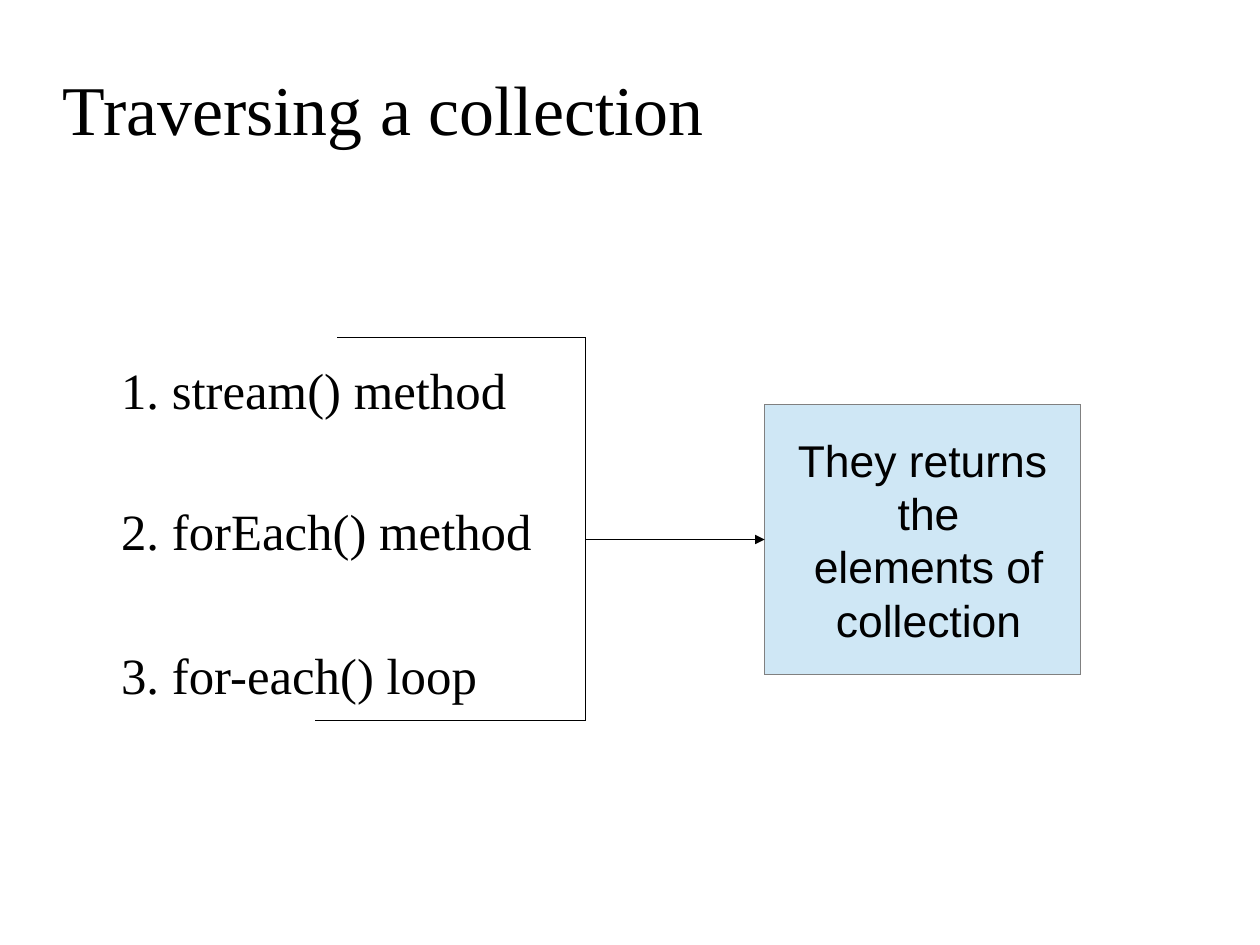
from dataclasses import dataclass

from lxml import etree
from pptx import Presentation
from pptx import util as u
from pptx.dml.color import RGBColor
from pptx.enum import shapes, text
from pptx.oxml import ns


@dataclass(frozen=True)
class Theme:
    ink: RGBColor = RGBColor(0x00, 0x00, 0x00)
    box_fill: RGBColor = RGBColor(0xCF, 0xE7, 0xF5)
    box_line: RGBColor = RGBColor(0x80, 0x80, 0x80)
    serif: str = "Times New Roman"
    sans: str = "Arial"
    title_size: int = 44
    list_size: int = 32
    box_size: int = 28


THEME = Theme()


def place(shape, left, top, width, height):
    shape.left, shape.top = u.Inches(left), u.Inches(top)
    shape.width, shape.height = u.Inches(width), u.Inches(height)


def write_lines(frame, lines, font_name, size, alignment):
    for index, line in enumerate(lines):
        paragraph = frame.paragraphs[0] if index == 0 else frame.add_paragraph()
        paragraph.text = line
        paragraph.alignment = alignment
        paragraph.space_before = u.Pt(0)
        paragraph.font.name = font_name
        paragraph.font.size = u.Pt(size)
        paragraph.font.color.rgb = THEME.ink


def clear_margins(frame):
    frame.margin_left = frame.margin_right = 0
    frame.margin_top = frame.margin_bottom = 0


def set_hairline(line, color):
    line.color.rgb = color
    outline = line._get_or_add_ln()
    outline.set("w", "0")
    return outline


def add_title(slide, title):
    shape = slide.shapes.title
    place(shape, 0.55, 0.32, 8.43, 1.25)
    frame = shape.text_frame
    clear_margins(frame)
    frame.vertical_anchor = text.MSO_ANCHOR.MIDDLE
    write_lines(frame, [title], THEME.serif, THEME.title_size, text.PP_ALIGN.LEFT)


def add_methods(slide, methods, gaps):
    shape = slide.shapes.add_textbox(0, 0, 0, 0)
    place(shape, 1.06, 3.14, 9.23, 4.79)
    frame = shape.text_frame
    frame.word_wrap = True
    clear_margins(frame)
    write_lines(frame, methods, THEME.serif, THEME.list_size, text.PP_ALIGN.LEFT)
    for paragraph, gap in zip(frame.paragraphs[1:], gaps):
        paragraph.space_before = u.Pt(gap)


def add_line(slide, start, end, arrow=False):
    points = [u.Inches(value) for value in (*start, *end)]
    connector = slide.shapes.add_connector(shapes.MSO_CONNECTOR.STRAIGHT, *points)
    outline = set_hairline(connector.line, THEME.ink)
    if arrow:
        etree.SubElement(outline, ns.qn("a:tailEnd"), type="triangle")
    etree.SubElement(connector._element.spPr, ns.qn("a:effectLst"))


def add_result_box(slide, lines):
    shape = slide.shapes.add_shape(shapes.MSO_SHAPE.RECTANGLE, 0, 0, 0, 0)
    place(shape, 6.69, 3.54, 2.76, 2.36)
    shape.shadow.inherit = False
    shape.fill.solid()
    shape.fill.fore_color.rgb = THEME.box_fill
    set_hairline(shape.line, THEME.box_line)
    frame = shape.text_frame
    frame.word_wrap = False
    frame.vertical_anchor = text.MSO_ANCHOR.MIDDLE
    write_lines(frame, lines, THEME.sans, THEME.box_size, text.PP_ALIGN.CENTER)


def main():
    presentation = Presentation()
    presentation.slide_width = u.Cm(28)
    presentation.slide_height = u.Cm(21)
    slide = presentation.slides.add_slide(presentation.slide_layouts[5])

    add_title(slide, "Traversing a collection")
    methods = ["1. stream() method", "2. forEach() method", "3. for-each() loop"]
    add_methods(slide, methods, gaps=[50.5, 52])

    bracket_x, bracket_top, bracket_bottom = 5.12, 2.95, 6.3
    add_line(slide, (bracket_x, bracket_top), (bracket_x, bracket_bottom))
    add_line(slide, (bracket_x, bracket_top), (2.95, bracket_top))
    add_line(slide, (bracket_x, bracket_bottom), (2.76, bracket_bottom))

    add_result_box(slide, ["They returns", " the", " elements of", " collection"])
    add_line(slide, (bracket_x, 4.72), (6.69, 4.72), arrow=True)

    presentation.save("out.pptx")


if __name__ == "__main__":
    main()
